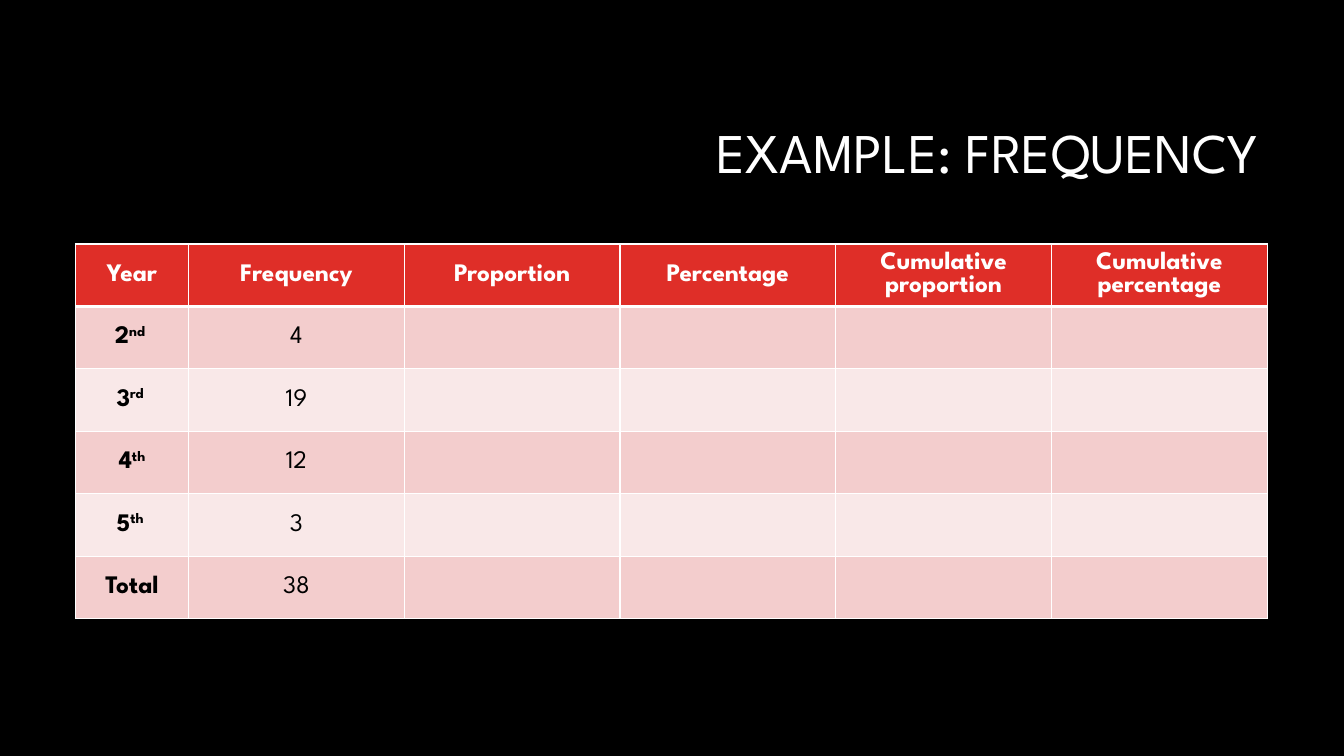
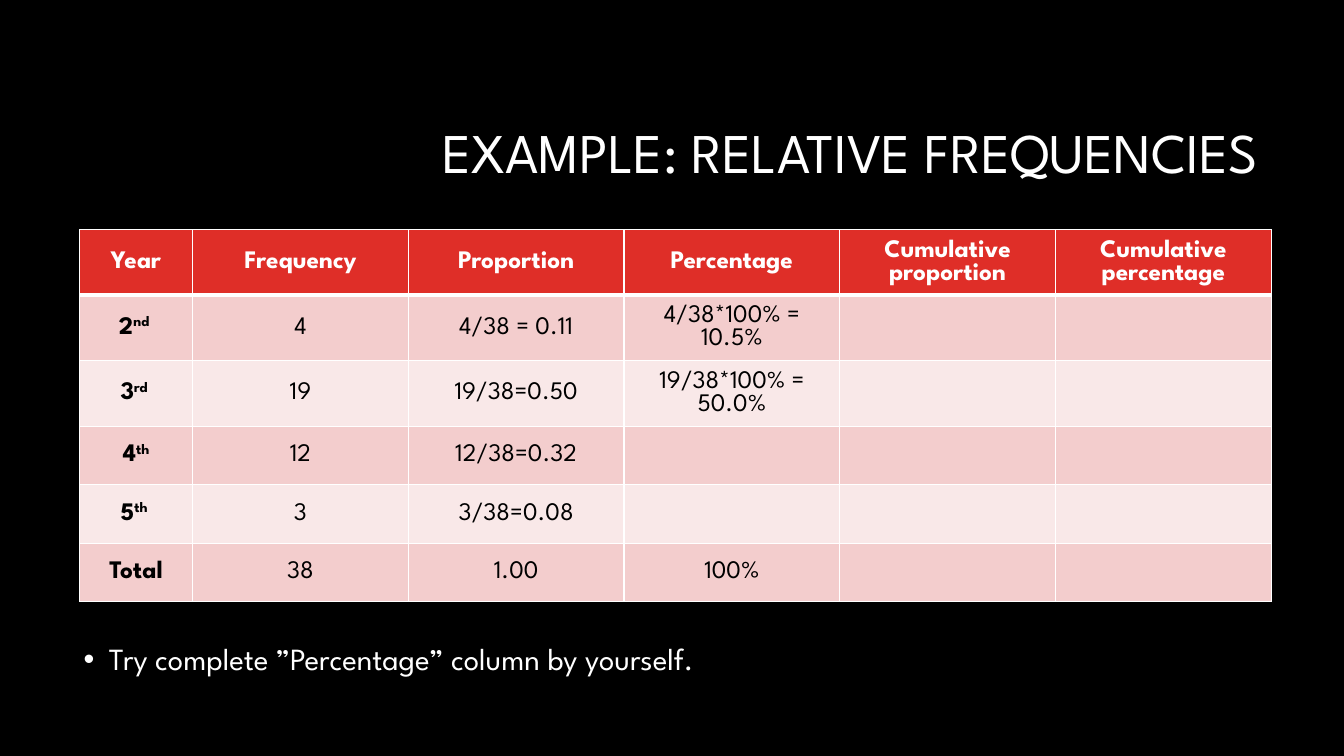
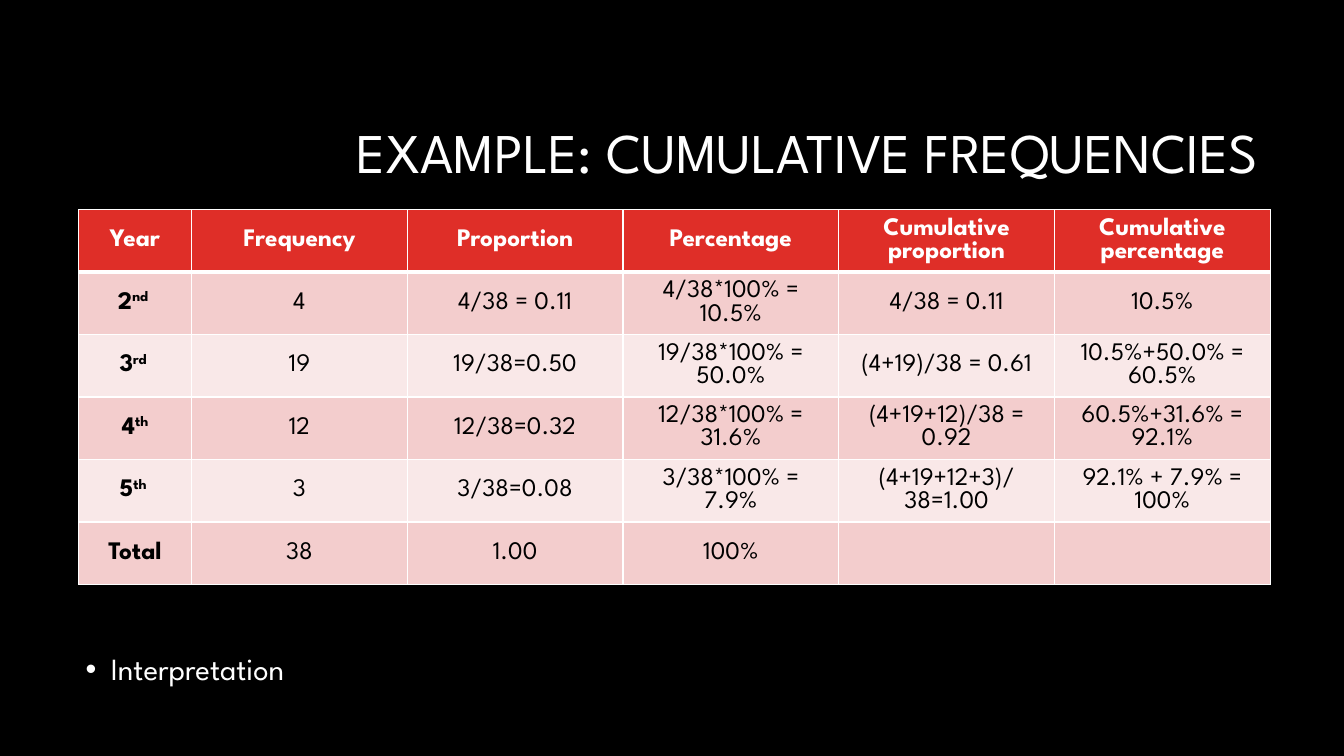
"""Build three slides that work through a frequency table step by step."""
from lxml import etree
from pptx import Presentation
from pptx import util as u
from pptx.dml.color import RGBColor
from pptx.enum import text
from pptx.oxml import ns

FONT = "League Spartan"
BLACK, WHITE, RED = "000000", "FFFFFF", "DF2E28"
BANDS = ("F3CDCD", "F9E8E8")
COLUMN_WIDTHS = [1.12] + [2.14] * 5

HEADINGS = ["Year", "Frequency", "Proportion", "Percentage",
            "Cumulative proportion", "Cumulative percentage"]
YEARS = [("2", "nd "), ("3", "rd "), ("4", "th"), ("5", "th "), ("Total", "")]
FREQUENCY = ["4", "19", "12", "3", "38"]
PROPORTION = ["4/38 = 0.11", "19/38=0.50", "12/38=0.32", "3/38=0.08", "1.00"]
PERCENTAGE = ["4/38*100% = 10.5%", "19/38*100% = 50.0%",
              "12/38*100% = 31.6%", "3/38*100% = 7.9%", "100%"]
PERCENTAGE_TO_COMPLETE = PERCENTAGE[:2] + ["", ""] + PERCENTAGE[4:]
CUMULATIVE_PROPORTION = ["4/38 = 0.11", "(4+19)/38 = 0.61",
                         "(4+19+12)/38 = 0.92", "(4+19+12+3)/38=1.00", ""]
CUMULATIVE_PERCENTAGE = ["10.5%", "10.5%+50.0% = 60.5%",
                         "60.5%+31.6% = 92.1%", "92.1% + 7.9% = 100%", ""]
BLANK = [""] * len(YEARS)


def rgb(color):
    """Turn a hex string into a colour."""
    return RGBColor.from_string(color)


def place(shape, left, top, width, height):
    """Move and size a shape, in inches."""
    shape.left, shape.top = u.Inches(left), u.Inches(top)
    shape.width, shape.height = u.Inches(width), u.Inches(height)


def add_run(paragraph, wording, size, color, bold=False, raised=False):
    """Append one formatted run to a paragraph."""
    run = paragraph.add_run()
    run.text = wording
    run.font.name, run.font.size, run.font.bold = FONT, u.Pt(size), bold
    run.font.color.rgb = rgb(color)
    if raised:
        run.font._element.set("baseline", "30000")


def add_title(slide, wording):
    """Fill the title placeholder, set right."""
    title = slide.shapes.title
    place(title, 1.83, 0.84, 10.75, 1.41)
    frame = title.text_frame
    frame.auto_size = text.MSO_AUTO_SIZE.NONE
    frame.vertical_anchor = text.MSO_ANCHOR.MIDDLE
    paragraph = frame.paragraphs[0]
    paragraph.alignment = text.PP_ALIGN.RIGHT
    paragraph.line_spacing = 0.9
    add_run(paragraph, wording, 40, WHITE)


def add_task(slide, wording, left, top):
    """Fill the body placeholder with one bulleted line."""
    body = slide.placeholders[1]
    place(body, left, top, 11.83, 0.62)
    body.text_frame.auto_size = text.MSO_AUTO_SIZE.NONE
    body.text_frame.vertical_anchor = text.MSO_ANCHOR.TOP
    paragraph = body.text_frame.paragraphs[0]
    paragraph.line_spacing = 0.9
    paragraph.space_before = u.Pt(10)
    properties = paragraph._p.get_or_add_pPr()
    properties.set("marL", str(u.Inches(0.25)))
    properties.set("indent", str(u.Inches(-0.25)))
    etree.SubElement(properties, ns.qn("a:buChar")).set("char", "•")
    add_run(paragraph, wording, 22, WHITE)


def add_borders(cell, top, bottom):
    """Draw white cell borders, with top and bottom widths in points."""
    properties = cell._tc.get_or_add_tcPr()
    for side, width in (("L", 1), ("R", 1), ("T", top), ("B", bottom)):
        line = etree.SubElement(properties, ns.qn("a:ln" + side))
        line.set("w", str(u.Pt(width)))
        fill = etree.SubElement(line, ns.qn("a:solidFill"))
        etree.SubElement(fill, ns.qn("a:srgbClr")).set("val", WHITE)


def fill_cell(cell, row, column, wording, suffix=""):
    """Format a cell by its row and column and write its text."""
    header = row == 0
    add_borders(cell, 3 if row == 1 else 1, 3 if header else 1)
    cell.fill.solid()
    cell.fill.fore_color.rgb = rgb(RED if header else BANDS[(row - 1) % 2])
    cell.vertical_anchor = text.MSO_ANCHOR.MIDDLE
    paragraph = cell.text_frame.paragraphs[0]
    paragraph.alignment = text.PP_ALIGN.CENTER
    color, bold = WHITE if header else BLACK, header or column == 0
    if wording:
        add_run(paragraph, wording, 18, color, bold)
    if suffix:
        add_run(paragraph, suffix, 18, color, bold, raised=True)


def add_frequency_table(slide, left, top, row_heights, columns):
    """Add the table of years, with the given columns of values."""
    table = slide.shapes.add_table(
        len(row_heights), len(HEADINGS), u.Inches(left), u.Inches(top),
        u.Inches(sum(COLUMN_WIDTHS)), u.Inches(sum(row_heights))).table
    for column, width in zip(table.columns, COLUMN_WIDTHS):
        column.width = u.Inches(width)
    for row, height in zip(table.rows, row_heights):
        row.height = u.Inches(height)
    for column, heading in enumerate(HEADINGS):
        fill_cell(table.cell(0, column), 0, column, heading)
    for row, (year, values) in enumerate(zip(YEARS, zip(*columns)), 1):
        fill_cell(table.cell(row, 0), row, 0, *year)
        for column, value in enumerate(values, 1):
            fill_cell(table.cell(row, column), row, column, value)


def main():
    """Build and save the presentation."""
    deck = Presentation()
    deck.slide_width, deck.slide_height = u.Inches(13.33), u.Inches(7.5)
    background = deck.slide_master.background.fill
    background.solid()
    background.fore_color.rgb = rgb(BLACK)
    title_and_body, title_only = deck.slide_layouts[1], deck.slide_layouts[5]
    even_rows = [0.62] * 6

    frequency = deck.slides.add_slide(title_only)
    add_title(frequency, "EXAMPLE: FREQUENCY")
    add_frequency_table(frequency, 0.75, 2.42, even_rows,
                        [FREQUENCY, BLANK, BLANK, BLANK, BLANK])

    relative = deck.slides.add_slide(title_and_body)
    add_title(relative, "EXAMPLE: RELATIVE FREQUENCIES")
    add_frequency_table(relative, 0.79, 2.28, [0.65] * 3 + [0.58] * 3,
                        [FREQUENCY, PROPORTION, PERCENTAGE_TO_COMPLETE, BLANK, BLANK])
    add_task(relative, "Try complete ”Percentage” column by yourself.", 0.73, 6.34)

    cumulative = deck.slides.add_slide(title_and_body)
    add_title(cumulative, "EXAMPLE: CUMULATIVE FREQUENCIES")
    add_frequency_table(cumulative, 0.78, 2.08, even_rows,
                        [FREQUENCY, PROPORTION, PERCENTAGE,
                         CUMULATIVE_PROPORTION, CUMULATIVE_PERCENTAGE])
    add_task(cumulative, "Interpretation", 0.75, 6.44)

    deck.save("out.pptx")


if __name__ == "__main__":
    main()
